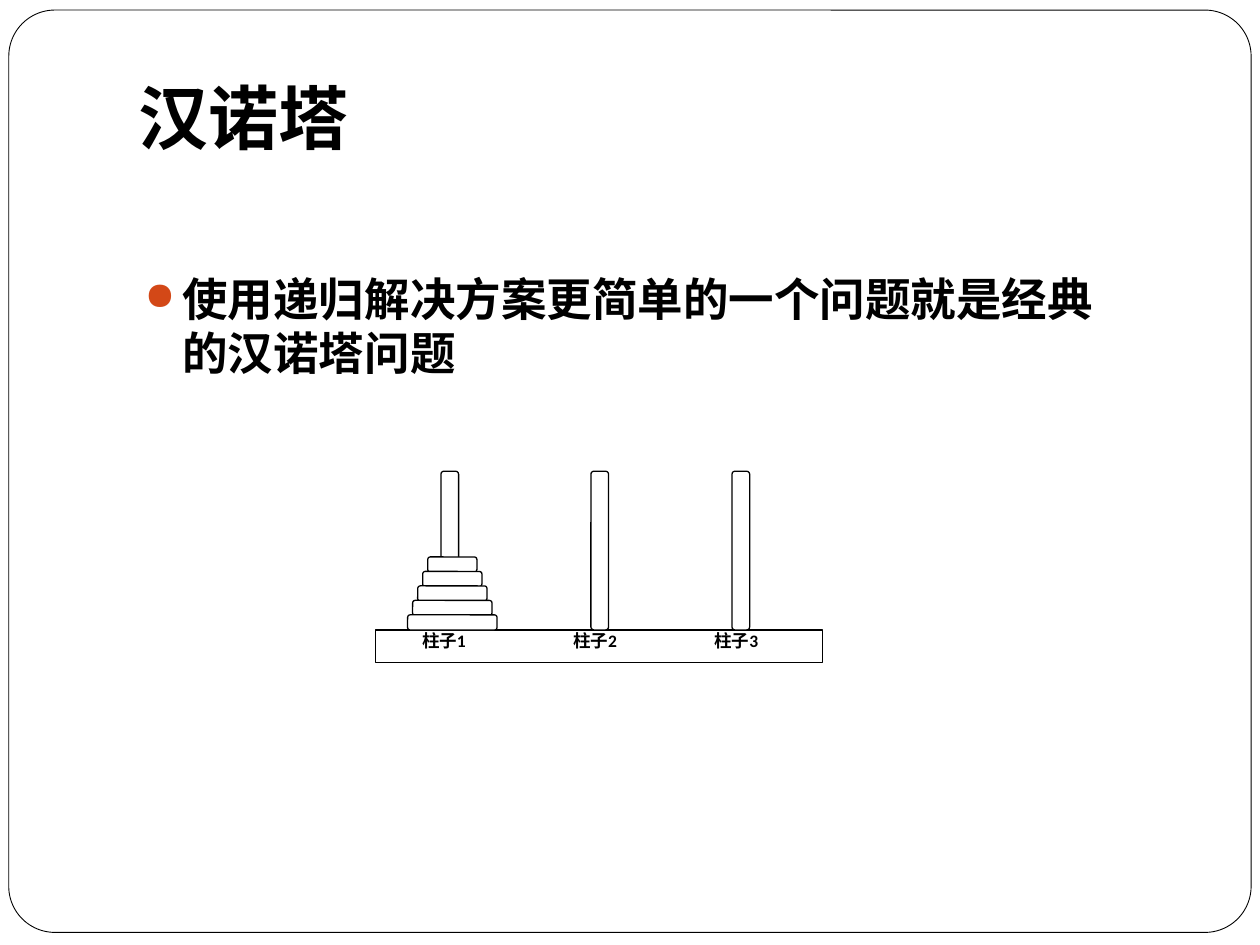
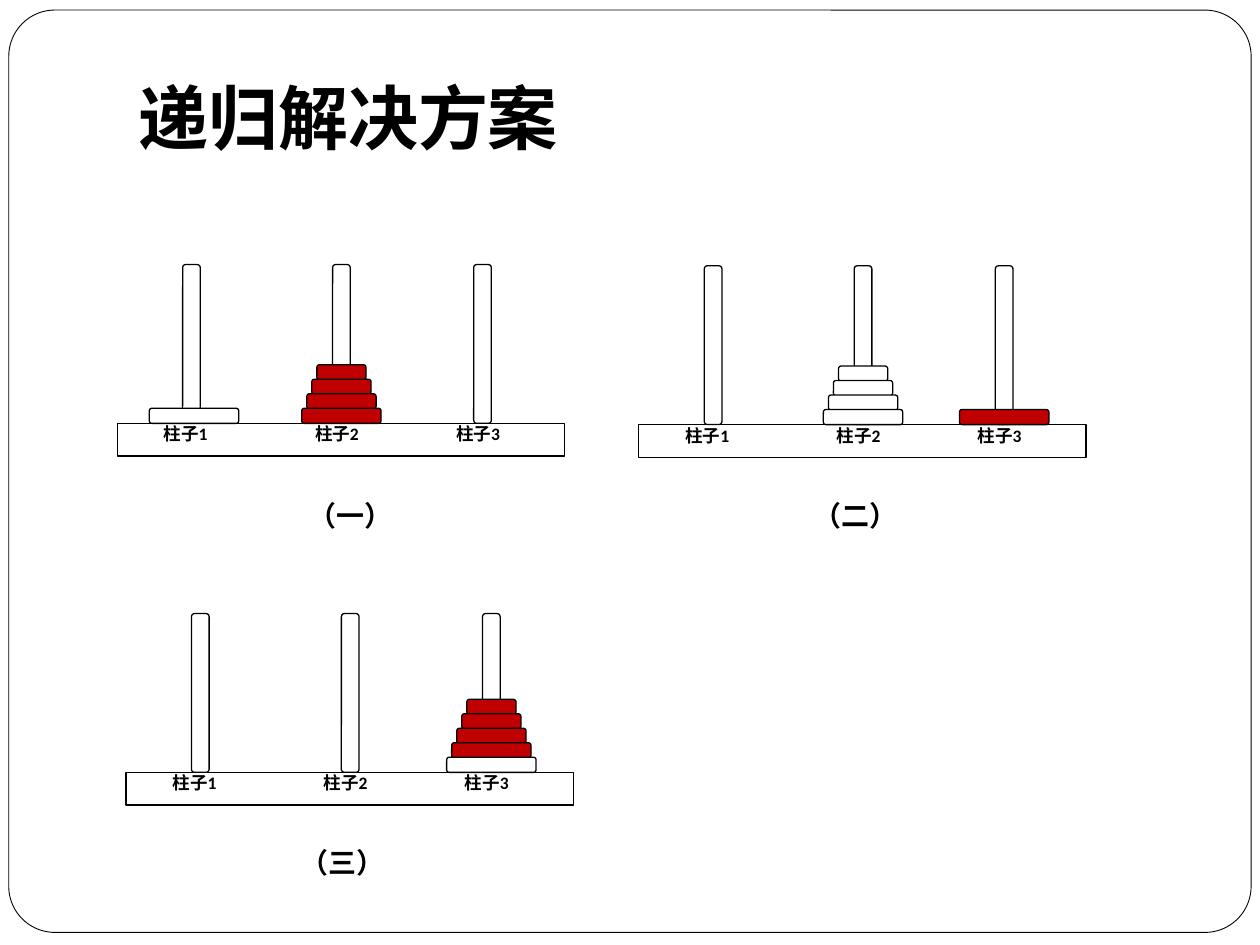
from dataclasses import dataclass

from pptx import Presentation
from pptx import util as u
from pptx.dml.color import RGBColor
from pptx.enum import shapes, text
from pptx.oxml.ns import qn
from lxml import etree

COLUMNS, ROWS = 100, 75


@dataclass(frozen=True)
class Theme:
    ink: str = "000000"
    paper: str = "FFFFFF"
    moved: str = "C00000"
    bullet: str = "D34817"
    cjk_font: str = "Noto Sans CJK SC"
    label_font: str = "Calibri"
    caption_font: str = "Times New Roman"
    title_size: int = 40
    body_size: int = 26
    caption_size: int = 16
    label_size: int = 10
    frame_line: float = 0.5
    part_line: float = 0.75


class TowerDeck:
    """Draws on the current slide; boxes are (column, row, columns, rows)."""

    base_size = (35.5, 2.6)
    label_size = (5.2, 2.4)
    peg_size = (1.4, 12.6)
    peg_centres = (5.9, 17.8, 29)
    disk_centres = (6.1, 17.8, 29)
    label_lefts = (3.5, 15.5, 26.7)
    disk_height, disk_step = 1.2, 1.15

    def __init__(self, theme):
        self.theme = theme
        self.deck = Presentation()
        self.deck.slide_width = u.Inches(10)
        self.deck.slide_height = u.Inches(7.5)
        self.page = None

    def place(self, box):
        column = self.deck.slide_width / COLUMNS
        row = self.deck.slide_height / ROWS
        left, top, width, height = box
        return (round(left * column), round(top * row),
                round(width * column), round(height * row))

    def add_page(self, title):
        self.page = self.deck.slides.add_slide(self.deck.slide_layouts[6])
        self.shape((0.7, 0.8, 98.6, 73.2), corner=0.05,
                   line=self.theme.frame_line)
        self.text((10, 3, 85, 12.5), title, self.theme.title_size,
                  self.theme.cjk_font, anchor=text.MSO_ANCHOR.MIDDLE)

    def shape(self, box, fill=None, corner=None, line=None):
        """Draws a rectangle, rounded when a corner share is given."""
        kind = shapes.MSO_SHAPE
        preset = kind.RECTANGLE if corner is None else kind.ROUNDED_RECTANGLE
        shape = self.page.shapes.add_shape(preset, *self.place(box))
        if corner is not None:
            shape.adjustments[0] = corner
        shape.shadow.inherit = False
        shape.fill.solid()
        shape.fill.fore_color.rgb = RGBColor.from_string(fill or self.theme.paper)
        shape.line.color.rgb = RGBColor.from_string(self.theme.ink)
        shape.line.width = u.Pt(line or self.theme.part_line)

    def text(self, box, words, size, font, anchor=text.MSO_ANCHOR.TOP,
             align=None, insets=(0.1, 0.05), bullet=False):
        frame = self.page.shapes.add_textbox(*self.place(box)).text_frame
        frame.word_wrap = True
        frame.vertical_anchor = anchor
        frame.margin_left = frame.margin_right = u.Inches(insets[0])
        frame.margin_top = frame.margin_bottom = u.Inches(insets[1])
        para = frame.paragraphs[0]
        para.alignment = align
        if bullet:
            self.add_bullet(para)
        span = para.add_run()
        span.text = words
        span.font.size = u.Pt(size)
        span.font.bold = True
        span.font.name = font
        span.font.color.rgb = RGBColor.from_string(self.theme.ink)
        east_asian = etree.SubElement(span.font._element, qn("a:ea"))
        east_asian.set("typeface", self.theme.cjk_font)

    def add_bullet(self, para):
        props = para._p.get_or_add_pPr()
        props.set("marL", str(u.Inches(0.3)))
        props.set("indent", str(-u.Inches(0.3)))
        colour = etree.SubElement(props, qn("a:buClr"))
        etree.SubElement(colour, qn("a:srgbClr")).set("val", self.theme.bullet)
        etree.SubElement(props, qn("a:buSzPct")).set("val", "85000")
        etree.SubElement(props, qn("a:buChar")).set("char", "●")

    def body(self, words):
        self.text((10.5, 21, 78.7, 43.3), words, self.theme.body_size,
                  self.theme.cjk_font, bullet=True)

    def caption(self, left, top, words):
        self.text((left, top, 11, 3.7), words, self.theme.caption_size,
                  self.theme.caption_font)

    def disk(self, left, top, peg, level, rank, fill):
        """Rank 0 is the smallest disk, level 0 the bottom of the peg."""
        width = 3.9 + 0.8 * rank
        self.shape((left + self.disk_centres[peg] - width / 2,
                    top - self.disk_height - level * self.disk_step,
                    width, self.disk_height), fill, corner=0.17)

    def towers(self, left, top, stacks):
        """Draws base, labels and pegs; stacks maps a peg to its
        (rank, fill) disks from the bottom up."""
        self.shape((left, top, *self.base_size))
        for number, offset in enumerate(self.label_lefts, 1):
            self.text((left + offset, top - 0.1, *self.label_size),
                      f"柱子{number}", self.theme.label_size,
                      self.theme.label_font, align=text.PP_ALIGN.JUSTIFY,
                      insets=(0.02, 0.01))
        width, height = self.peg_size
        for centre in self.peg_centres:
            self.shape((left + centre - width / 2, top - height, width, height),
                       corner=0.17)
        for peg, disks in stacks.items():
            for level, (rank, fill) in reversed(list(enumerate(disks))):
                self.disk(left, top, peg, level, rank, fill)


def stack(fill, largest=3):
    return [(rank, fill) for rank in range(largest, -1, -1)]


def main():
    theme = Theme()
    show = TowerDeck(theme)
    plain, moved = theme.paper, theme.moved

    show.add_page("汉诺塔")
    show.body("使用递归解决方案更简单的一个问题就是经典的汉诺塔问题")
    show.towers(29.8, 50, {0: stack(plain, largest=4)})

    show.add_page("递归解决方案")
    show.towers(9.3, 33.6, {0: [(4, plain)], 1: stack(moved)})
    show.towers(50.7, 33.7, {1: stack(plain), 2: [(4, moved)]})
    show.towers(10, 61.3, {2: [(4, plain)] + stack(moved)})
    for left, top, words in ((23.5, 39.1, "（一）"), (63.6, 39.1, "（二）"),
                             (22.9, 66.6, "（三）")):
        show.caption(left, top, words)

    show.deck.save("out.pptx")


if __name__ == "__main__":
    main()
